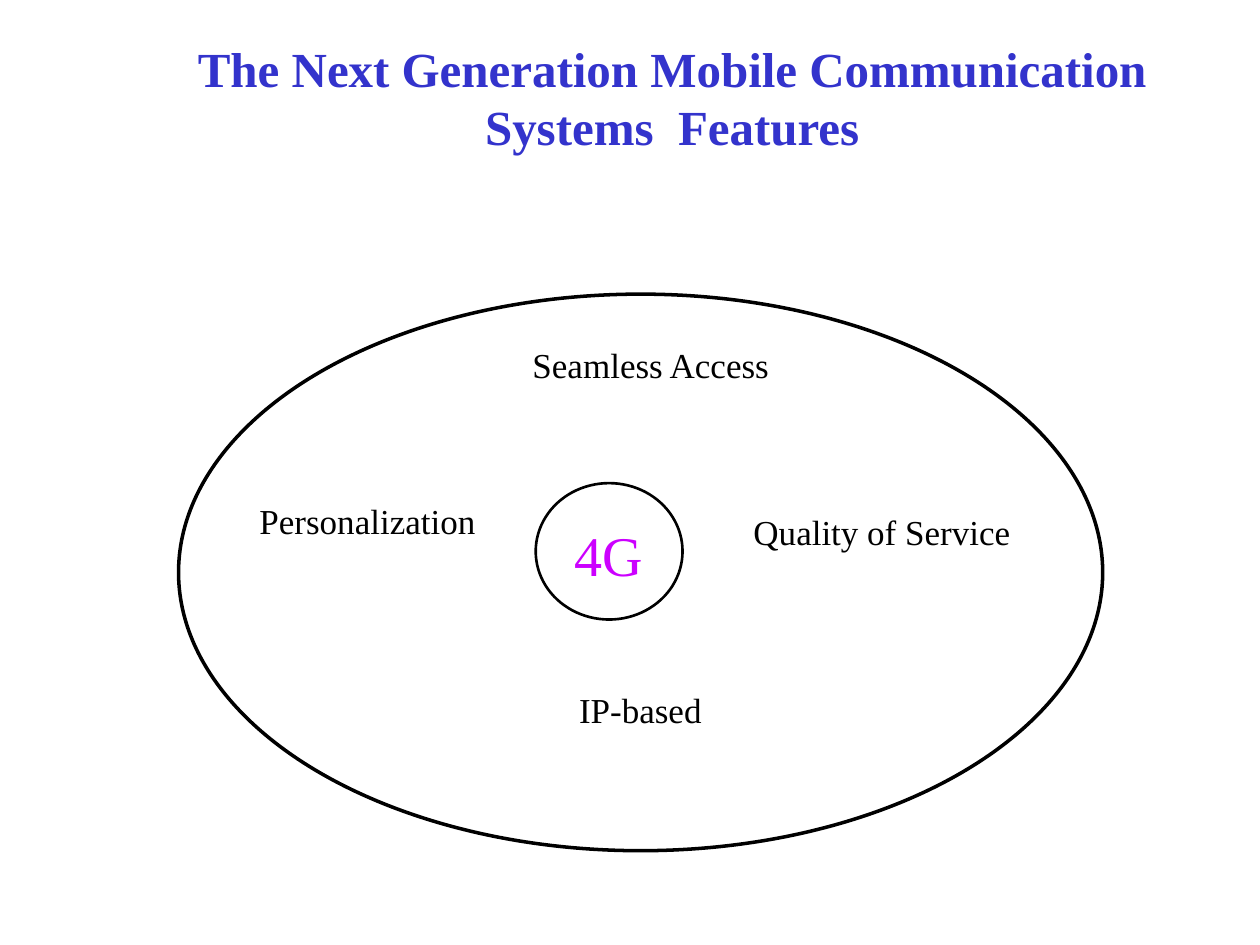
from dataclasses import dataclass

from pptx import Presentation
from pptx import util as u
from pptx.dml.color import RGBColor
from pptx.enum import shapes, text


@dataclass(frozen=True)
class Theme:
    font: str = "Times New Roman"
    title: RGBColor = RGBColor(0x33, 0x33, 0xCC)
    core: RGBColor = RGBColor(0xCC, 0x00, 0xFF)
    ink: RGBColor = RGBColor(0, 0, 0)
    paper: RGBColor = RGBColor(0xFF, 0xFF, 0xFF)
    title_size: int = 28
    core_size: int = 32
    label_size: int = 20


@dataclass(frozen=True)
class Area:
    """A place on the slide, in centimetres."""
    left: float
    top: float
    width: float
    height: float

    def lengths(self) -> tuple:
        return tuple(u.Cm(n) for n in (self.left, self.top, self.width, self.height))


@dataclass(frozen=True)
class Feature:
    name: str
    area: Area


THEME = Theme()
TITLE_AREA = Area(2.54, 0.64, 22.02, 2.64)
OUTER_AREA = Area(3.6, 5.93, 18.63, 11.22)
CORE_AREA = Area(10.8, 9.74, 2.96, 2.75)
CORE_TEXT_AREA = Area(11.22, 10.37, 2.12, 1.63)
FEATURES = (
    Feature("Seamless Access", Area(10.37, 6.79, 5.5, 1.12)),
    Feature("Personalization", Area(4.66, 9.95, 5.5, 1.12)),
    Feature("Quality of Service", Area(13.97, 10.16, 7.62, 1.12)),
    Feature("IP-based", Area(10.16, 13.76, 5.5, 1.12)),
)


def write(box, words: str, *, size: int, color: RGBColor, bold: bool = False) -> None:
    """Fill a box with one centred, top-anchored paragraph."""
    frame = box.text_frame
    frame.word_wrap = True
    frame.auto_size = text.MSO_AUTO_SIZE.NONE
    frame.vertical_anchor = text.MSO_ANCHOR.TOP
    para = frame.paragraphs[0]
    para.alignment = text.PP_ALIGN.CENTER
    span = para.add_run()
    span.text = words
    span.font.name = THEME.font
    span.font.size = u.Pt(size)
    span.font.bold = bold
    span.font.color.rgb = color


def add_label(page, words: str, area: Area, *, size: int, color: RGBColor) -> None:
    write(page.shapes.add_textbox(*area.lengths()), words, size=size, color=color)


def add_ellipse(page, area: Area, *, line_width: float) -> None:
    ellipse = page.shapes.add_shape(shapes.MSO_SHAPE.OVAL, *area.lengths())
    ellipse.shadow.inherit = False
    ellipse.fill.solid()
    ellipse.fill.fore_color.rgb = THEME.paper
    ellipse.line.color.rgb = THEME.ink
    ellipse.line.width = u.Pt(line_width)


def main() -> None:
    deck = Presentation()
    deck.slide_width, deck.slide_height = u.Cm(25.4), u.Cm(19.05)
    page = deck.slides.add_slide(deck.slide_layouts.get_by_name("Title Only"))

    # Title
    title = page.shapes.title
    title.left, title.top, title.width, title.height = TITLE_AREA.lengths()
    write(title, "The Next Generation Mobile Communication Systems  Features",
          size=THEME.title_size, color=THEME.title, bold=True)

    # Features inside the outer ellipse
    add_ellipse(page, OUTER_AREA, line_width=2)
    for feature in FEATURES:
        add_label(page, feature.name, feature.area,
                  size=THEME.label_size, color=THEME.ink)

    # Core
    add_ellipse(page, CORE_AREA, line_width=1.5)
    add_label(page, "4G", CORE_TEXT_AREA, size=THEME.core_size, color=THEME.core)

    deck.save("out.pptx")


if __name__ == "__main__":
    main()
